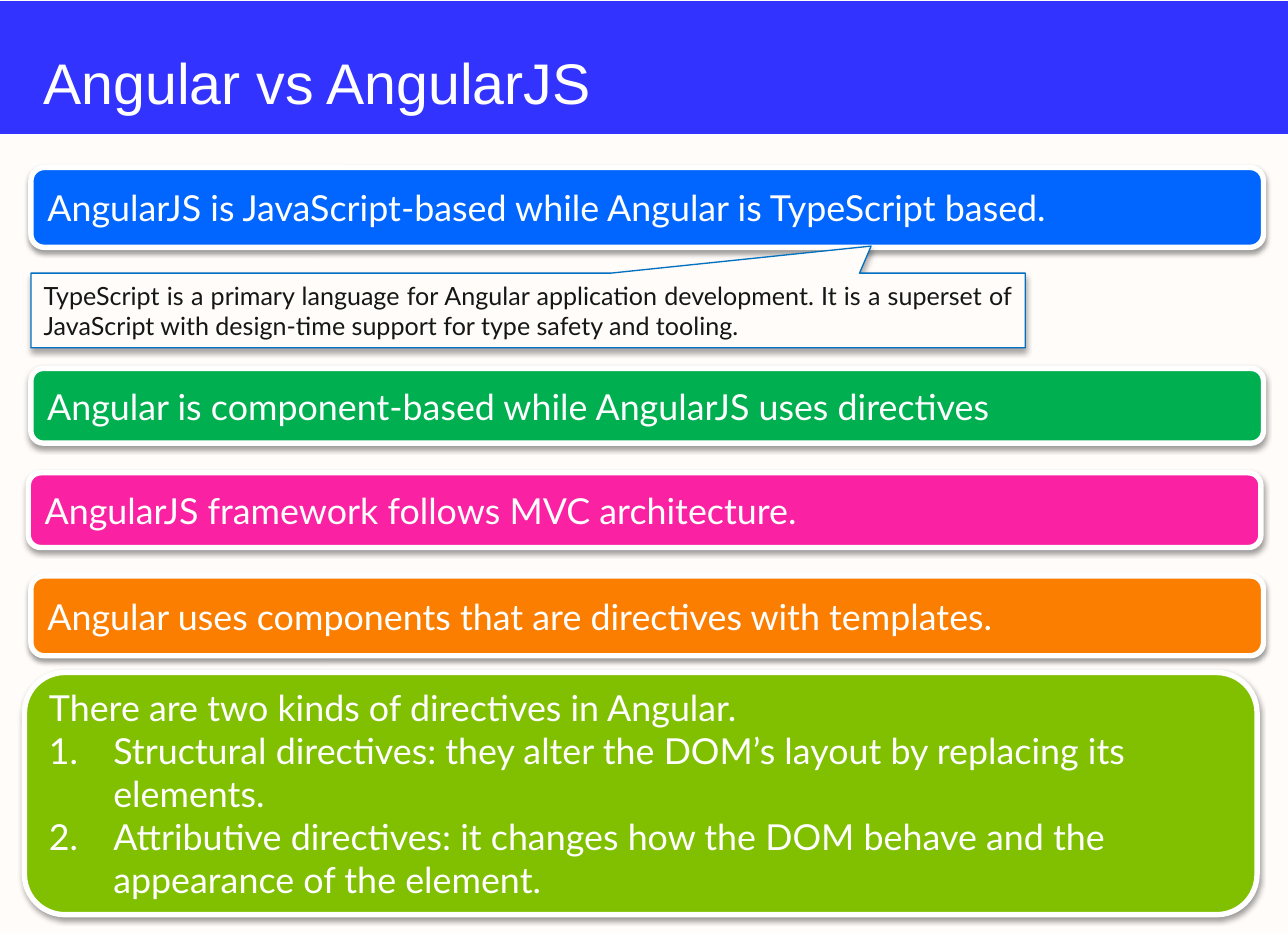
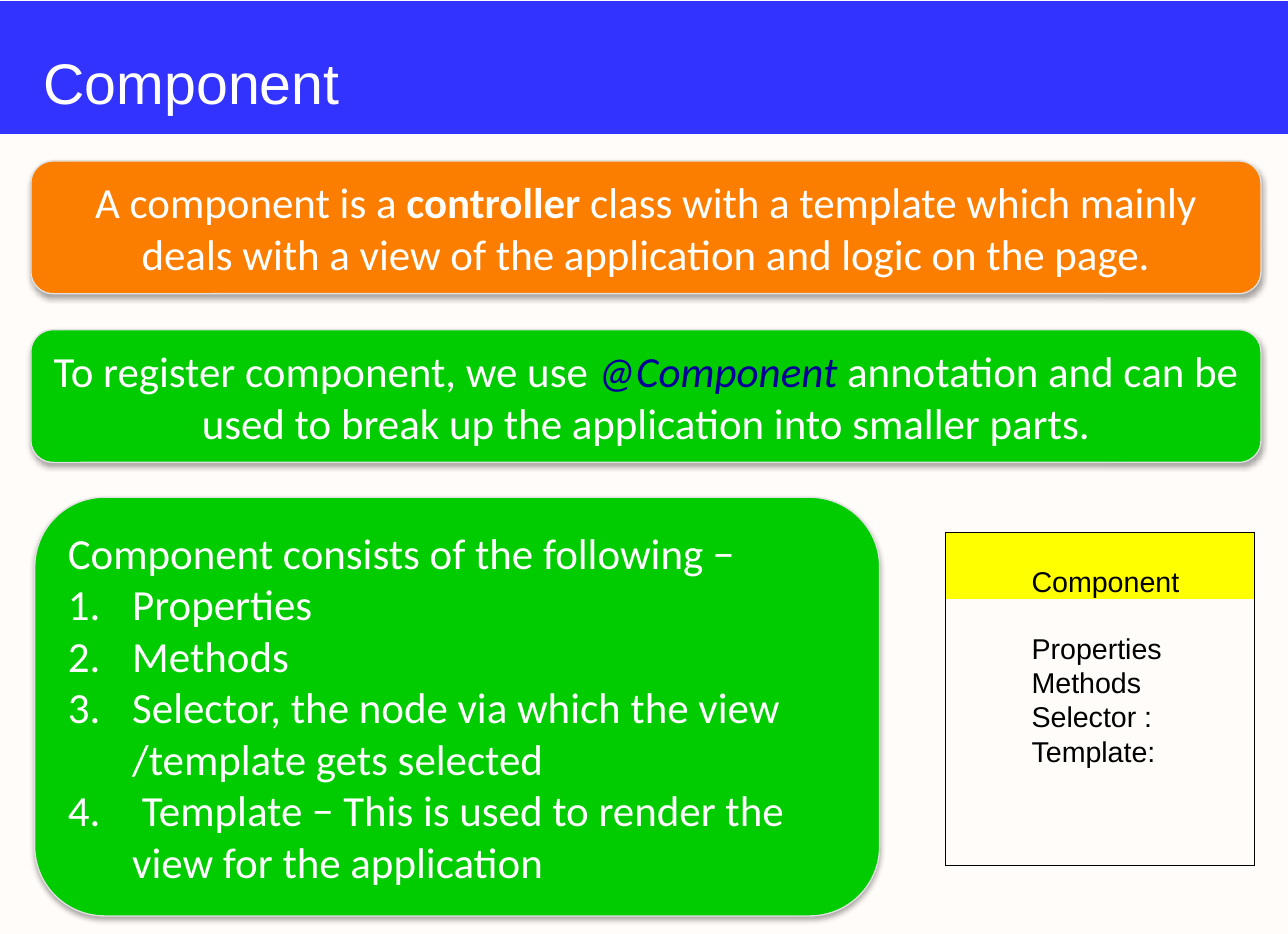
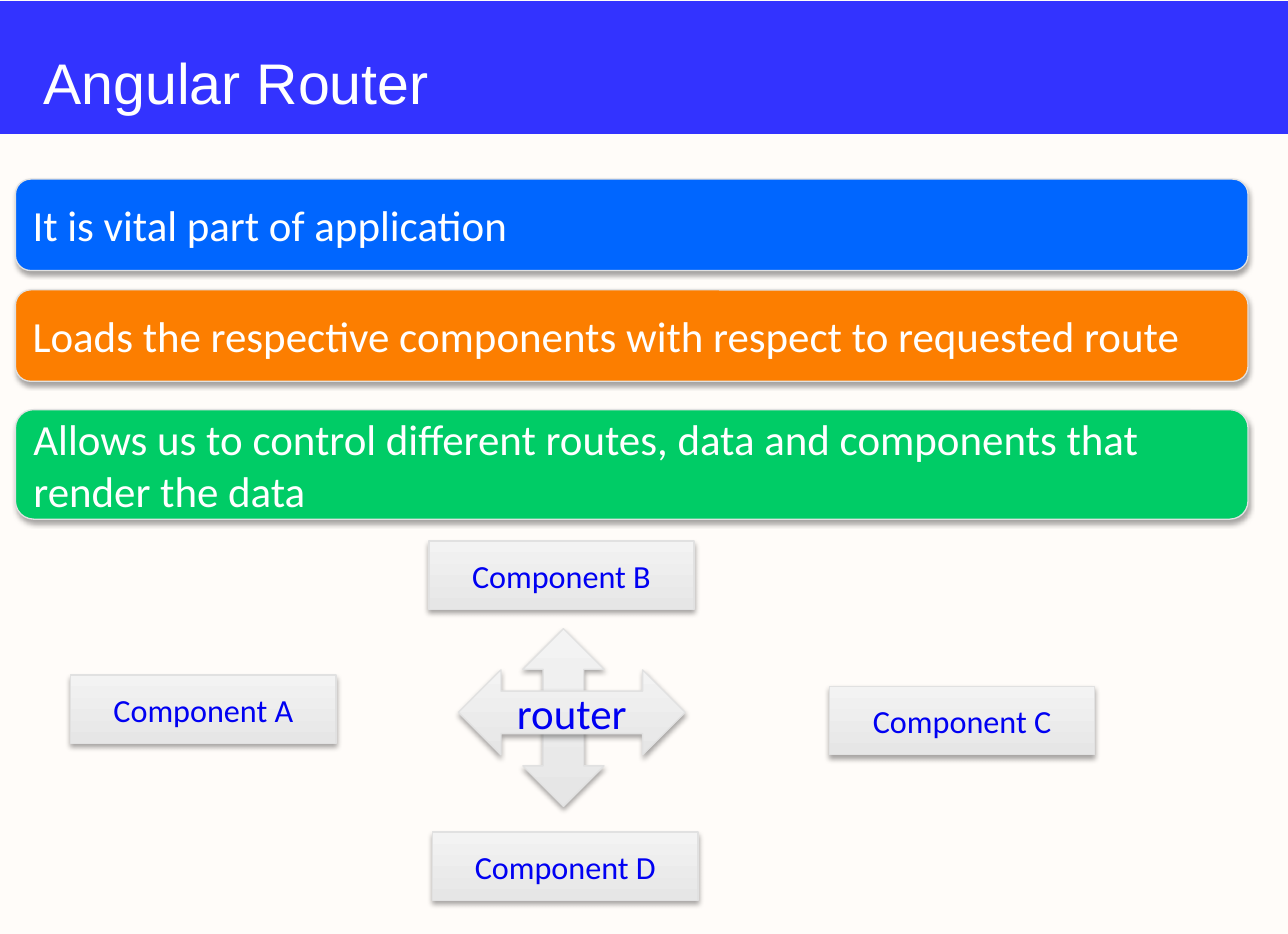
from lxml.etree import SubElement as Sub
from pptx import Presentation
from pptx.dml.color import RGBColor
from pptx.enum.shapes import MSO_SHAPE as Kind
from pptx.enum.text import MSO_ANCHOR as Anchor, PP_ALIGN as Align
from pptx.oxml.ns import qn
from pptx.util import Emu, Inches, Pt

PAPER, BAND, WHITE = "FFFCF9", "3333FF", "FFFFFF"
BLUE, ORANGE, GREEN, PALE = "0066FF", "FC7E00", "00CC00", "E1E1E1"
GREY = ("E6E6E6", "F3F3F3")
NO_STYLE = "{2D5ABB26-0587-4C30-8999-92F81FD0307C}"

TITLE = {"name": "Arial", "size": Pt(32), "color": WHITE}
LATO = {"name": "Lato", "size": Pt(20), "color": WHITE}
NOTE = {"name": "Lato", "size": Pt(14), "color": "151616"}
BODY = {"name": "Calibri", "size": Pt(24), "color": WHITE}
HUB = {**BODY, "color": "0000F2"}
NODE = {**HUB, "size": Pt(18)}
CELL = {"name": "Arial", "size": Pt(16), "color": "000000"}

# Line colour, line width, shadow opacity and shadow distance
THICK = (WHITE, 3, 38, 1.6)
THIN = (PALE, 0.75, 35, 1.8)
EDGED = ("0070C0", 0.75, 35, 1.8)


def rgb(code):
    return RGBColor.from_string(code)


def style(font, form):
    for key, value in form.items():
        if key == "color":
            font.color.rgb = rgb(value)
        else:
            setattr(font, key, value)


def number(para):
    props = para._p.get_or_add_pPr()
    props.set("marL", str(Inches(0.5)))
    props.set("indent", str(-Inches(0.5)))
    Sub(props, qn("a:buAutoNum"), type="arabicPeriod")


def write(frame, paras, form, align=Align.LEFT):
    """Fill a frame; a paragraph is a string or a list of (text, changes).

    Every paragraph after the first is a numbered item.
    """
    frame.word_wrap = True
    for i, parts in enumerate(paras):
        para = frame.add_paragraph() if i else frame.paragraphs[0]
        if i:
            number(para)
        para.alignment = align
        if isinstance(parts, str):
            parts = [(parts, {})]
        for text, change in parts:
            run = para.add_run()
            run.text = text
            style(run.font, {**form, **change})


def shade(shape, alpha, dist):
    effects = shape._element.spPr.find(qn("a:effectLst"))
    outer = Sub(effects, qn("a:outerShdw"), blurRad=str(Pt(3.1)),
                dist=str(Pt(dist)), dir="5400000", rotWithShape="0")
    color = Sub(outer, qn("a:srgbClr"), val="000000")
    Sub(color, qn("a:alpha"), val=str(alpha * 1000))


def paint(fill, color):
    """Paint one colour, or a pair from bottom to top."""
    if isinstance(color, str):
        fill.solid()
        fill.fore_color.rgb = rgb(color)
        return
    fill.gradient()
    fill.gradient_angle = 90
    for stop, code in zip(fill.gradient_stops, color):
        stop.color.rgb = rgb(code)


def block(slide, kind, box, color, look=None):
    """Add a preset shape with its fill, outline and shadow."""
    shape = slide.shapes.add_shape(kind, *map(Inches, box))
    shape.shadow.inherit = False
    paint(shape.fill, color)
    if look:
        edge, width, alpha, dist = look
        shape.line.color.rgb = rgb(edge)
        shape.line.width = Pt(width)
        shade(shape, alpha, dist)
    else:
        shape.line.fill.background()
    return shape


def card(slide, box, color, paras, form=BODY, look=THIN, align=Align.LEFT):
    shape = block(slide, Kind.ROUNDED_RECTANGLE, box, color, look)
    write(shape.text_frame, paras, form, align)


def start(deck, title):
    """Add a slide with the shared background, band and title."""
    slide = deck.slides.add_slide(deck.slide_layouts[6])
    paint(slide.background.fill, PAPER)
    block(slide, Kind.RECTANGLE, (0, 0.01, 10, 1.03), BAND)
    box = slide.shapes.add_textbox(*map(Inches, (0.24, 0.32, 9.57, 0.6)))
    write(box.text_frame, [title], TITLE)
    return slide


def border(cell, sides):
    props = cell._tc.get_or_add_tcPr()
    for side in sides:
        line = Sub(props, qn(f"a:ln{side}"), w=str(Pt(0.5)))
        fill = Sub(line, qn("a:solidFill"))
        Sub(fill, qn("a:srgbClr"), val="000000")


def grid(slide, left, top, widths, height, labels, heads):
    """Add an outlined table with labels in its last column."""
    rows, cols = len(labels), len(widths)
    table = slide.shapes.add_table(
        rows, cols, *map(Inches, (left, top, sum(widths), rows * height))).table
    table.first_row = table.horz_banding = False
    table._tbl.tblPr.find(qn("a:tableStyleId")).text = NO_STYLE
    for col, width in zip(table.columns, widths):
        col.width = Inches(width)
    for r, label in enumerate(labels):
        table.rows[r].height = Inches(height)
        for c in range(cols):
            cell = table.cell(r, c)
            for side in ("left", "right", "top", "bottom"):
                setattr(cell, f"margin_{side}", Emu(0))
            cell.vertical_anchor = Anchor.BOTTOM
            edges = {"L": c == 0, "R": c == cols - 1,
                     "T": r == 0, "B": r == rows - 1}
            border(cell, [side for side, on in edges.items() if on])
            if r < heads:
                paint(cell.fill, "FFFF00")
            else:
                cell.fill.background()
            if label and c == cols - 1:
                write(cell.text_frame, [label], CELL)
            else:
                para = cell.text_frame.paragraphs[0]._p
                Sub(para, qn("a:endParaRPr"), sz="1000")


def versus(deck):
    slide = start(deck, "Angular vs AngularJS")
    bars = [
        (0.24, 1.3, 0.62, BLUE,
         ["AngularJS is JavaScript-based while Angular is TypeScript based."]),
        (0.24, 2.86, 0.58, "00B050",
         ["Angular is component-based while AngularJS uses directives"]),
        (0.22, 3.67, 0.58, "FB21A3",
         ["AngularJS framework follows MVC architecture."]),
        (0.24, 4.47, 0.62, ORANGE,
         ["Angular uses components that are directives with templates."]),
        (0.19, 5.22, 1.88, "80C000",
         ["There are two kinds of directives in Angular.",
          "Structural directives: they alter the DOM’s layout by replacing "
          "its elements.",
          "Attributive directives: it changes how the DOM behave and the "
          "appearance of the element."]),
    ]
    for left, top, height, color, paras in bars:
        card(slide, (left, top, 9.57, height), color, paras, LATO, THICK)
    note = block(slide, Kind.RECTANGULAR_CALLOUT, (0.24, 2.12, 7.72, 0.58),
                 PAPER, EDGED)
    note.adjustments[0], note.adjustments[1] = 0.345, -0.862
    write(note.text_frame, [
        "TypeScript is a primary language for Angular application "
        "development. It is a superset of JavaScript with design-time "
        "support for type safety and tooling."], NOTE, Align.JUSTIFY)


def component(deck):
    slide = start(deck, "Component")
    card(slide, (0.24, 1.25, 9.55, 1.03), ORANGE, [[
        ("A component is a ", {}),
        ("controller", {"color": PAPER, "bold": True}),
        (" class with a template which mainly deals with a view of the "
         "application and logic on the page.", {})]], align=Align.CENTER)
    card(slide, (0.24, 2.56, 9.55, 1.03), GREEN, [[
        ("To register component, we use ", {}),
        ("@Component", {"color": "000099", "italic": True}),
        (" annotation and can be used to break up the application into "
         "smaller parts.", {})]], align=Align.CENTER)
    labels = ["", "Component", "", "Properties", "Methods", "Selector :",
              "Template:", "", "", ""]
    grid(slide, 7.34, 4.13, (0.67, 1.73), 0.25, labels, heads=2)
    card(slide, (0.27, 3.86, 6.56, 3.25), GREEN, [
        "Component consists of the following −",
        "Properties",
        "Methods",
        "Selector, the node via which the view /template gets selected",
        " Template − This is used to render the view for the application"])


def router(deck):
    slide = start(deck, "Angular Router")
    bars = [
        (1.39, 0.71, BLUE, "It is vital part of application"),
        (2.25, 0.71, ORANGE,
         "Loads the respective components with respect to requested route"),
        (3.18, 0.85, "00CC66",
         "Allows us to control different routes, data and components that "
         "render the data"),
    ]
    for top, height, color, text in bars:
        card(slide, (0.12, top, 9.57, height), color, [text])
    block(slide, Kind.UP_DOWN_ARROW, (4.06, 4.88, 0.63, 1.38), GREY, THIN)
    hub = block(slide, Kind.LEFT_RIGHT_ARROW, (3.56, 5.2, 1.76, 0.66),
                GREY, THIN)
    write(hub.text_frame, ["router"], HUB, Align.CENTER)
    nodes = {"C": (6.44, 5.33), "A": (0.55, 5.24),
             "D": (3.36, 6.46), "B": (3.33, 4.2)}
    for name, spot in nodes.items():
        node = block(slide, Kind.RECTANGLE, (*spot, 2.06, 0.53), GREY, THIN)
        write(node.text_frame, [f"Component {name}"], NODE, Align.CENTER)


def main():
    deck = Presentation()
    deck.slide_width, deck.slide_height = Inches(10), Inches(7.25)
    for build in (versus, component, router):
        build(deck)
    deck.save("out.pptx")


if __name__ == "__main__":
    main()
